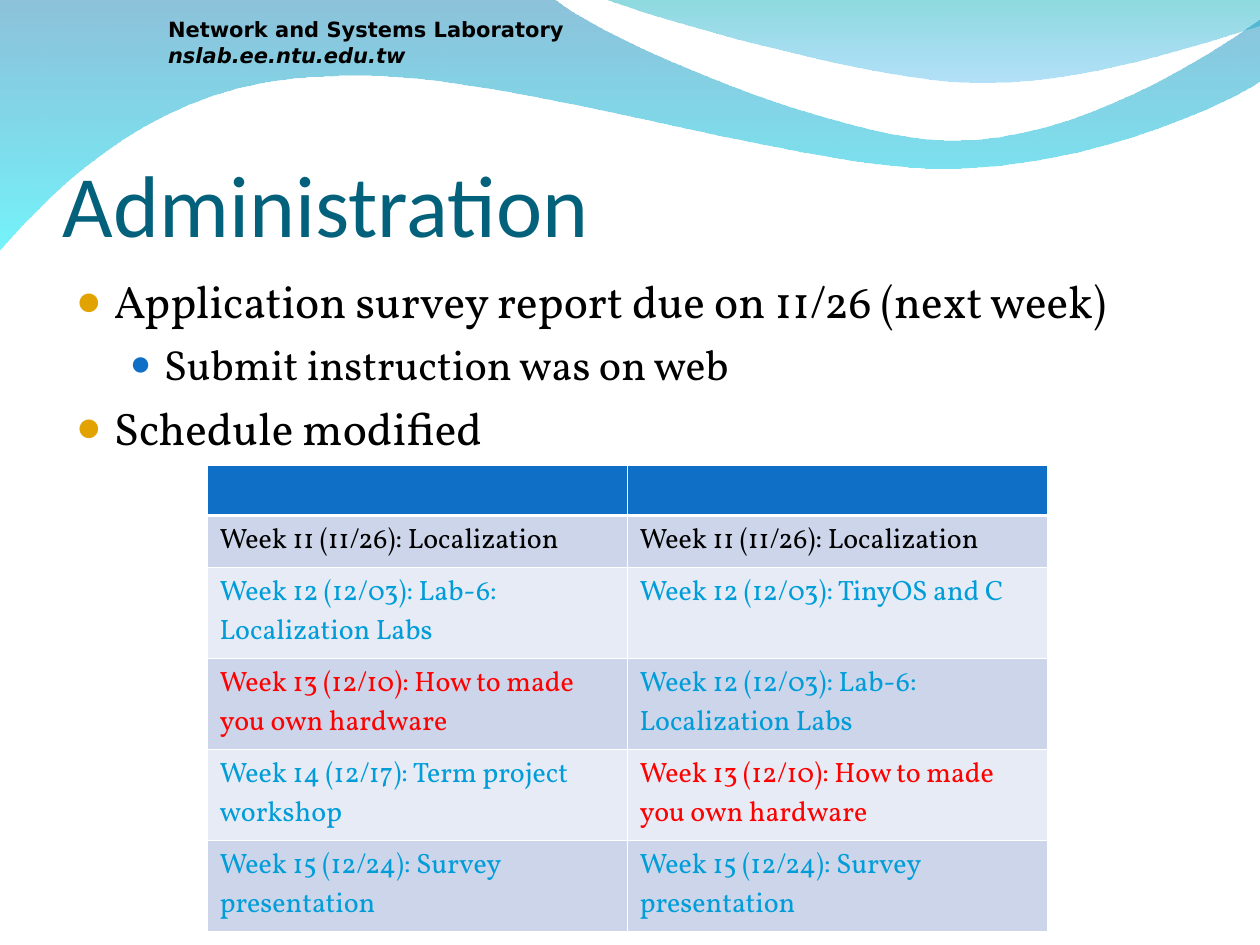
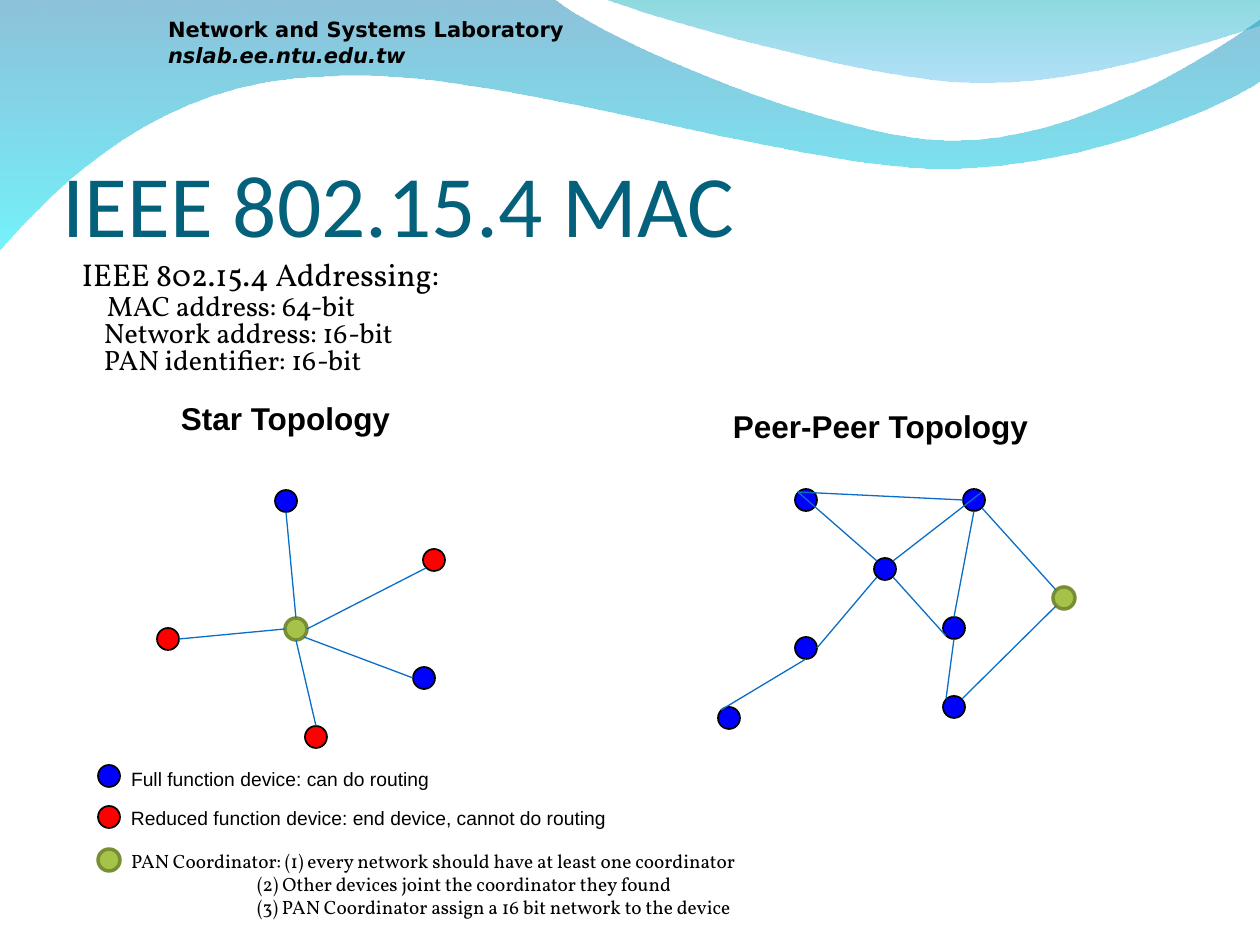
"""Build two lab lecture slides: a revised schedule and the IEEE 802.15.4 topologies."""
from dataclasses import dataclass

from lxml import etree
from pptx import Presentation
from pptx.dml.color import RGBColor
from pptx.enum.shapes import MSO_CONNECTOR, MSO_SHAPE
from pptx.enum.text import MSO_ANCHOR, PP_ALIGN
from pptx.oxml.ns import qn
from pptx.util import Inches, Pt

STRAIGHT, OVAL = MSO_CONNECTOR.STRAIGHT, MSO_SHAPE.OVAL
BOTTOM, CENTER = MSO_ANCHOR.BOTTOM, PP_ALIGN.CENTER
PX = Inches(1) / 126


@dataclass(frozen=True)
class Theme:
    title: str = "04617B"
    ink: str = "000000"
    white: str = "FFFFFF"
    gold: str = "E2A200"
    blue: str = "0F6FC6"
    sky: str = "009DD9"
    red: str = "FF0000"
    full: str = "0000FF"
    coordinator: str = "A5C249"
    coordinator_edge: str = "788E33"
    link: str = "0A6DC6"
    bands: tuple = ("CCD5EA", "E7EBF5")
    serif: str = "Vollkorn"
    sans: str = "Arial"
    title_size: int = 50
    body_size: int = 26
    sub_size: int = 24
    heading_size: int = 18
    cell_size: int = 16
    brand_size: int = 12
    legend_size: int = 11


theme = Theme()


def write(frame, lines, font, size, color=theme.ink, margins=(13, 6, 13, 6), **frame_format):
    """Fill a text frame; each line is a text with a dict of its own settings."""
    sides = ("margin_left", "margin_top", "margin_right", "margin_bottom")
    frame_format = {"word_wrap": True, **frame_format}
    frame_format.update((side, round(gap * PX)) for side, gap in zip(sides, margins))
    for name, value in frame_format.items():
        setattr(frame, name, value)
    for index, (text, own) in enumerate(lines):
        paragraph = frame.add_paragraph() if index else frame.paragraphs[0]
        for name, value in own.get("layout", {}).items():
            setattr(paragraph, name, value)
        properties = paragraph._p.get_or_add_pPr()
        left, first = own.get("indent", (0, 0))
        properties.set("marL", str(round(left * PX)))
        properties.set("indent", str(round(first * PX)))
        if "bullet" in own:
            bullet_color, percent = own["bullet"]
            holder = etree.SubElement(properties, qn("a:buClr"))
            etree.SubElement(holder, qn("a:srgbClr"), val=bullet_color)
            etree.SubElement(properties, qn("a:buSzPct"), val=str(percent * 1000))
            etree.SubElement(properties, qn("a:buFont"), typeface=theme.sans)
            etree.SubElement(properties, qn("a:buChar"), char="●")
        run = paragraph.add_run()
        run.text = text
        run.font.color.rgb = RGBColor.from_string(color)
        font_format = {"name": font, "size": Pt(size), **own.get("font", {})}
        for name, value in font_format.items():
            setattr(run.font, name, value)


def add_text(slide, box, lines, font, size, **settings):
    """Add a text box whose left, top, width and height are in px."""
    textbox = slide.shapes.add_textbox(*(round(length * PX) for length in box))
    write(textbox.text_frame, lines, font, size, **settings)


deck = Presentation()
deck.slide_width, deck.slide_height = Inches(10), Inches(7.5)

WAVES = [
    ((0, 0), [
        [(554, -1)],
        [(600, 38), (837, 141), (955, 141)],
        [(1075, 141), (1207, 58), (1260, 20)],
        [(1261, 81)],
        [(1239, 98), (1096, 169), (940, 169)],
        [(784, 168), (481, 63), (324, 77)],
        [(163, 79), (58, 185), (-1, 252)],
    ], [("0079AF", 45), ("00EBF8", 55)]),
    ((604, -1), [
        [(641, 14), (859, 78), (969, 82)],
        [(1079, 87), (1211, 40), (1260, 26)],
        [(1260, 0)],
    ], [("00ADB6", 45), ("009BE5", 30)]),
]

slides = []
for heading in ("Administration", "IEEE 802.15.4 MAC"):
    slide = deck.slides.add_slide(deck.slide_layouts[6])
    slides.append(slide)
    for start, segments, stops in WAVES:
        builder = slide.shapes.build_freeform(*(value * PX for value in start))
        builder.add_line_segments([(x * PX, y * PX) for *_, (x, y) in segments], close=True)
        wave = builder.convert_to_shape()
        sides = list(wave._element.spPr.iter(qn("a:lnTo")))
        for side, segment in zip(sides, segments):
            if len(segment) == 3:
                curve = etree.Element(qn("a:cubicBezTo"))
                for x, y in segment:
                    etree.SubElement(curve, qn("a:pt"),
                                     x=str(round(x * PX) - builder.shape_offset_x),
                                     y=str(round(y * PX) - builder.shape_offset_y))
                side.getparent().replace(side, curve)
        wave.shadow.inherit = False
        wave.line.fill.background()
        wave.fill.gradient()
        wave.fill.gradient_angle = 270
        for stop, (tint, _) in zip(wave.fill.gradient_stops, stops):
            stop.color.rgb = RGBColor.from_string(tint)
        tints = wave._element.spPr.iter(qn("a:srgbClr"))
        for element, (_, opacity) in zip(list(tints), stops):
            etree.SubElement(element, qn("a:alpha"), val=str(opacity * 1000))
    add_text(slide, (157, 12, 473, 62), [
        ("Network and Systems Laboratory", {"font": {"bold": True}}),
        ("nslab.ee.ntu.edu.tw", {"font": {"bold": True, "italic": True}}),
    ], "DejaVu Sans", theme.brand_size, margins=(11, 5, 11, 5))
    add_text(slide, (63, 97, 1134, 158), [(heading, {})], "Calibri", theme.title_size,
             color=theme.title, margins=(0, 6, 0, 0), vertical_anchor=BOTTOM)

administration, mac = slides

topic = {"indent": (38, -38), "bullet": (theme.gold, 95)}
detail = {"indent": (88, -34), "bullet": (theme.blue, 85),
          "layout": {"space_before": Pt(6)}, "font": {"size": Pt(theme.sub_size)}}
add_text(administration, (63, 267, 1134, 605), [
    ("Application survey report due on 11/26 (next week)", topic),
    ("Submit instruction was on web", detail),
    ("Schedule modified", {**topic, "layout": {"space_before": Pt(6.5)}}),
], theme.serif, theme.body_size)

localization = ("Week 11 (11/26): Localization", theme.ink)
labs = ("Week 12 (12/03): Lab-6: Localization Labs", theme.sky)
hardware = ("Week 13 (12/10): How to made you own hardware", theme.red)
survey = ("Week 15 (12/24): Survey presentation", theme.sky)
SCHEDULE = [
    (localization, localization),
    (labs, ("Week 12 (12/03): TinyOS and C", theme.sky)),
    (hardware, labs),
    (("Week 14 (12/17): Term project workshop", theme.sky), hardware),
    (survey, survey),
]
ROW_HEIGHTS = (50, 52, 91, 91, 91, 91)
table_box = [round(length * PX) for length in (207, 465, 840, sum(ROW_HEIGHTS))]
schedule = administration.shapes.add_table(len(ROW_HEIGHTS), 2, *table_box).table
for row_index, height in enumerate(ROW_HEIGHTS):
    schedule.rows[row_index].height = round(height * PX)
    for column_index in range(2):
        cell = schedule.cell(row_index, column_index)
        cell.fill.solid()
        band = theme.bands[(row_index - 1) % 2] if row_index else theme.blue
        cell.fill.fore_color.rgb = RGBColor.from_string(band)
        if row_index:
            text, color = SCHEDULE[row_index - 1][column_index]
            write(cell.text_frame, [(text, {})], theme.serif, theme.cell_size, color=color)
        borders = {"a:lnL": 0.45, "a:lnR": 0.45,
                   "a:lnT": 1.47 if row_index == 1 else 0.45,
                   "a:lnB": 0.45 if row_index else 1.47}
        cell_properties = cell._tc.get_or_add_tcPr()
        for position, (tag, width) in enumerate(borders.items()):
            border = etree.Element(qn(tag), w=str(Pt(width)))
            paint = etree.SubElement(border, qn("a:solidFill"))
            etree.SubElement(paint, qn("a:srgbClr"), val=theme.white)
            cell_properties.insert(position, border)

RADIUS, DIAGONAL = 11, 8
DEVICE_STYLES = {
    "full": (theme.full, theme.ink, 1),
    "reduced": (theme.red, theme.ink, 1),
    "coordinator": (theme.coordinator, theme.coordinator_edge, 2),
}
DEVICES = {
    "hub": ("coordinator", 296, 629),
    "star north": ("full", 286, 501),
    "star northeast": ("reduced", 434, 560),
    "star southeast": ("full", 424, 678),
    "star south": ("reduced", 316, 737),
    "star west": ("reduced", 168, 639),
    "router": ("full", 885, 569),
    "peer northwest": ("full", 806, 500),
    "peer northeast": ("full", 974, 500),
    "peer east": ("full", 954, 628),
    "peer south": ("full", 954, 707),
    "peer west": ("full", 806, 648),
    "peer leaf": ("full", 729, 718),
    "peer coordinator": ("coordinator", 1064, 598),
    "full key": ("full", 109, 776),
    "reduced key": ("reduced", 109, 817),
    "coordinator key": ("coordinator", 109, 860),
}
for kind, x, y in DEVICES.values():
    circle_box = (x - RADIUS, y - RADIUS, 2 * RADIUS, 2 * RADIUS)
    device = mac.shapes.add_shape(OVAL, *(round(length * PX) for length in circle_box))
    fill, edge, edge_width = DEVICE_STYLES[kind]
    device.shadow.inherit = False
    device.fill.solid()
    device.fill.fore_color.rgb = RGBColor.from_string(fill)
    device.line.color.rgb = RGBColor.from_string(edge)
    device.line.width = Pt(edge_width)

RIM = {
    "N": (0, -RADIUS), "E": (RADIUS, 0), "S": (0, RADIUS), "W": (-RADIUS, 0),
    "NE": (DIAGONAL, -DIAGONAL), "SE": (DIAGONAL, DIAGONAL),
    "SW": (-DIAGONAL, DIAGONAL), "NW": (-DIAGONAL, -DIAGONAL),
}
LINKS = [
    ("hub", "N", "star north", "S"),
    ("hub", "E", "star northeast", "SW"),
    ("hub", "SE", "star southeast", "W"),
    ("hub", "S", "star south", "N"),
    ("hub", "W", "star west", "E"),
    ("router", "NE", "peer northeast", "NE"),
    ("router", "NW", "peer northwest", "NW"),
    ("router", "SW", "peer west", "E"),
    ("router", "SE", "peer east", "SW"),
    ("peer northeast", "S", "peer east", "N"),
    ("peer northeast", "W", "peer northwest", "NW"),
    ("peer east", "S", "peer south", "NW"),
    ("peer west", "S", "peer leaf", "NW"),
    ("peer coordinator", "NW", "peer northeast", "SE"),
    ("peer coordinator", "SW", "peer south", "NE"),
]
for origin, origin_rim, target, target_rim in LINKS:
    ends = []
    for name, rim in ((origin, origin_rim), (target, target_rim)):
        ends += [round((center + offset) * PX)
                 for center, offset in zip(DEVICES[name][1:], RIM[rim])]
    link = mac.shapes.add_connector(STRAIGHT, *ends)
    link.line.color.rgb = RGBColor.from_string(theme.link)
    link.line.width = Pt(0.75)
    etree.SubElement(link._element.spPr, qn("a:effectLst"))

for topology, box in (("Star Topology", (167, 393, 237, 50)),
                      ("Peer-Peer Topology", (719, 401, 323, 50))):
    add_text(mac, box, [(topology, {"font": {"bold": True}, "layout": {"alignment": CENTER}})],
             theme.sans, theme.heading_size, word_wrap=False)

for meaning, box in (
        ("Full function device: can do routing", (118, 761, 512, 37)),
        ("Reduced function device: end device, cannot do routing", (118, 800, 595, 37))):
    add_text(mac, box, [(meaning, {})], theme.sans, theme.legend_size)

continued = {"indent": (126, 0)}
add_text(mac, (118, 843, 689, 102), [
    ("PAN Coordinator: (1) every network should have at least one coordinator", {}),
    ("(2) Other devices joint the coordinator they found", continued),
    ("(3) PAN Coordinator assign a 16 bit network to the device", continued),
], theme.serif, theme.legend_size)

tight = {"line_spacing": 0.8}
address = {"layout": tight, "indent": (22, 0), "font": {"size": Pt(theme.cell_size)}}
first_address = {**address, "indent": (25, 0), "layout": {**tight, "space_before": Pt(1.75)}}
add_text(mac, (69, 256, 630, 127), [
    ("IEEE 802.15.4 Addressing:", {"layout": tight}),
    ("MAC address: 64-bit", first_address),
    ("Network address: 16-bit", address),
    ("PAN identifier: 16-bit", address),
], theme.serif, theme.heading_size)

deck.save("out.pptx")
